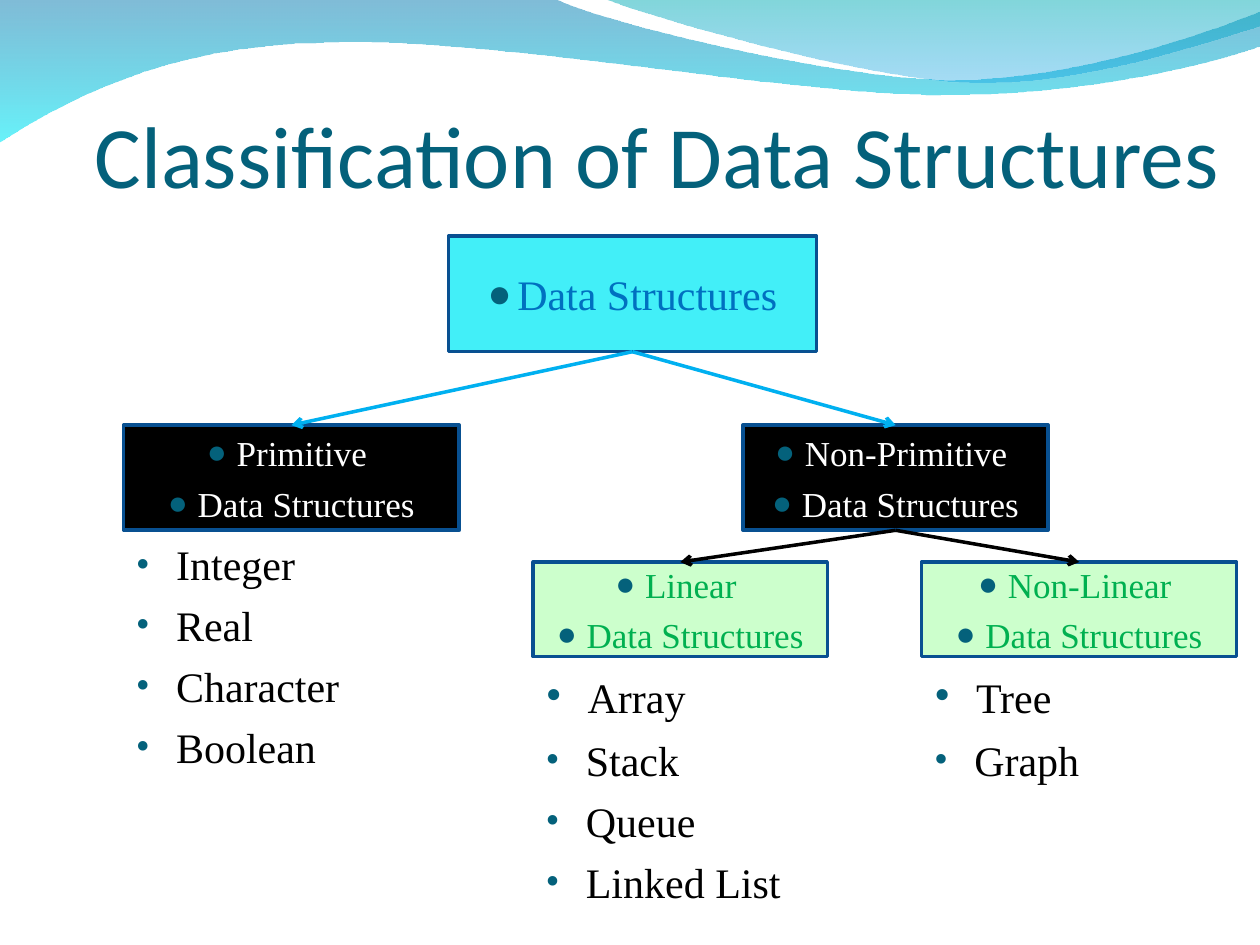
from lxml.etree import SubElement
from pptx import Presentation
from pptx.dml.color import RGBColor
from pptx.enum.shapes import MSO_CONNECTOR, MSO_SHAPE
from pptx.enum.text import MSO_ANCHOR, MSO_AUTO_SIZE, PP_ALIGN
from pptx.oxml.ns import qn
from pptx.util import Cm, Pt

SERIF = "Times New Roman"
TEAL = "04617B"
BLACK = "000000"
WHITE = "FFFFFF"
HANG = Cm(0.6)
GAP = 0.04


def tint(text):
    return RGBColor.from_string(text)


def mark(para, char):
    """Give a paragraph a hanging bullet."""
    props = para._p.get_or_add_pPr()
    props.set("marL", str(HANG))
    props.set("indent", str(-HANG))
    color = SubElement(props, qn("a:buClr"))
    SubElement(color, qn("a:srgbClr"), val=TEAL)
    SubElement(props, qn("a:buSzPct"), val="95000")
    SubElement(props, qn("a:buFont"), typeface=SERIF)
    SubElement(props, qn("a:buChar"), char=char)


def write(frame, lines, size=24, color=BLACK, font=SERIF, bullet=None,
          align=PP_ALIGN.LEFT, before=0, lead=None):
    """Fill a frame; lead is the size of the space that opens the first line."""
    frame.word_wrap = True
    for i, line in enumerate(lines):
        para = frame.paragraphs[0] if i == 0 else frame.add_paragraph()
        para.alignment = align
        para.space_before = Pt(before)
        if bullet:
            mark(para, bullet)
        parts = [(line, size)]
        if lead and i == 0:
            parts = [(" ", lead), (line.lstrip(), size)]
        for text, points in parts:
            run = para.add_run()
            run.text = text
            run.font.size = Pt(points)
            run.font.name = font
            run.font.color.rgb = tint(color)


def bend(shape, moves):
    """Turn each move of three points into one cubic curve."""
    lines = iter(list(shape._element.iter(qn("a:lnTo"))))
    for move in moves:
        first, *rest = [next(lines) for _ in move]
        if rest:
            first.tag = qn("a:cubicBezTo")
            for line in rest:
                first.append(line[0])
                line.getparent().remove(line)


def wave(slide, box, start, moves, stops):
    """Draw a faded outline, its points measured from the box corner."""
    left, top = box[:2]
    spots = [(Cm(left + x), Cm(top + y))
             for x, y in [start] + [spot for move in moves for spot in move]]
    pen = slide.shapes.build_freeform(*spots[0], scale=1.0)
    pen.add_line_segments(spots[1:], close=True)
    shape = pen.convert_to_shape()
    bend(shape, moves)
    shape.shadow.inherit = False
    shape.line.fill.background()
    shape.fill.gradient()
    shape.fill.gradient_angle = 270
    for stop, (place, color, alpha) in zip(shape.fill.gradient_stops, stops):
        stop.position = place
        stop.color.rgb = tint(color)
        node = stop._gs.find(qn("a:srgbClr"))
        SubElement(node, qn("a:alpha"), val=str(alpha * 1000))


def header(slide, box):
    wide, high = box[2:]
    wave(slide, box, (0.03, 0), [
        [(11.2, 0)],
        [(12.12, 0.46), (16.9, 1.63), (19.28, 1.63)],
        [(21.7, 1.63), (24.36, 0.69), (25.43, 0.26)],
        [(wide, 0.94)],
        [(25, 1.15), (22.13, 1.96), (18.98, 1.94)],
        [(15.83, 1.94), (9.73, 0.74), (6.56, 0.89)],
        [(3.31, 0.92), (1.2, 2.14), (0, high)],
    ], [(0, "0079AF", 50), (1, "00EBF8", 60)])
    wave(slide, box, (12.2, 0), [
        [(12.96, 0.31), (17.35, 1.6), (19.56, 1.68)],
        [(21.77, 1.78), (24.44, 0.84), (25.43, 0.56)],
        [(25.43, 0.03)],
    ], [(0, "00ADB6", 50), (1, "009BE5", 35)])


def title(slide, box, text):
    shape = slide.shapes.title
    shape.left, shape.top, shape.width, shape.height = map(Cm, box)
    frame = shape.text_frame
    frame.auto_size = MSO_AUTO_SIZE.NONE
    frame.vertical_anchor = MSO_ANCHOR.TOP
    write(frame, [text], size=50, color=TEAL, font="Calibri",
          align=PP_ALIGN.CENTER)


def block(slide, box, lines, fill, color, size=20, before=5):
    shape = slide.shapes.add_shape(MSO_SHAPE.RECTANGLE, *map(Cm, box))
    shape.shadow.inherit = False
    shape.fill.solid()
    shape.fill.fore_color.rgb = tint(fill)
    shape.line.color.rgb = tint("085091")
    shape.line.width = Pt(2)
    shape.text_frame.vertical_anchor = MSO_ANCHOR.MIDDLE
    write(shape.text_frame, lines, size=size, color=color, bullet="●",
          align=PP_ALIGN.CENTER, before=before)
    return shape


def group(slide, box, name, fill, color, items=(), depth=0, lead=None):
    """Place a class of structures with its examples listed below it."""
    shape = block(slide, box, [name + " ", "Data Structures"], fill, color)
    if items:
        left, top, _, high = box
        area = slide.shapes.add_textbox(
            Cm(left), Cm(top + high + GAP), Cm(5.92), Cm(depth))
        write(area.text_frame, [" " + item for item in items], bullet="•",
              before=6, lead=lead)
        area.text_frame.auto_size = MSO_AUTO_SIZE.SHAPE_TO_FIT_TEXT
    return shape


def link(slide, start, end, color):
    """Join the bottom of one block to the top of another."""
    line = slide.shapes.add_connector(MSO_CONNECTOR.STRAIGHT, 0, 0, 0, 0)
    line.begin_connect(start, 2)
    line.end_connect(end, 0)
    line.line.color.rgb = tint(color)
    line.line.width = Pt(2)
    SubElement(line.line._get_or_add_ln(), qn("a:tailEnd"), type="arrow")
    SubElement(line._element.spPr, qn("a:effectLst"))


def tree(slide, box):
    left, top = box[:2]

    def at(x, y, wide, high):
        return left + x, top + y, wide, high

    root = block(slide, at(6.55, 0, 7.42, 2.33), ["Data Structures"],
                 "42EFF8", "0070C0", size=24, before=6)
    basic = group(slide, at(0, 3.81, 6.77, 2.12), "Primitive", BLACK, WHITE,
                  ["Integer", "Real", "Character", "Boolean"], 4.95)
    other = group(slide, at(12.49, 3.81, 6.15, 2.12), "Non-Primitive",
                  BLACK, WHITE)
    leaf = {"fill": "CCFFCC", "color": "00B050", "lead": 28}
    chain = group(slide, at(8.26, 6.57, 5.93, 1.91), "Linear", depth=5.13,
                  items=["Array", "Stack", "Queue", "Linked List"], **leaf)
    net = group(slide, at(16.09, 6.57, 6.35, 1.91), "Non-Linear", depth=2.67,
                items=["Tree", "Graph"], **leaf)
    for start, ends, color in ((root, (other, basic), "00B0F0"),
                               (other, (chain, net), BLACK)):
        for end in ends:
            link(slide, start, end, color)


def main():
    deck = Presentation()
    deck.slide_width, deck.slide_height = Cm(25.4), Cm(19.05)
    slide = deck.slides.add_slide(deck.slide_layouts[5])
    header(slide, (-0.03, -0.03, 25.46, 2.9))
    title(slide, (1.6, 1.9, 23.29, 4.5), "Classification of Data Structures")
    tree(slide, (2.49, 4.76, 22.43, 13.6))
    deck.save("out.pptx")


if __name__ == "__main__":
    main()
